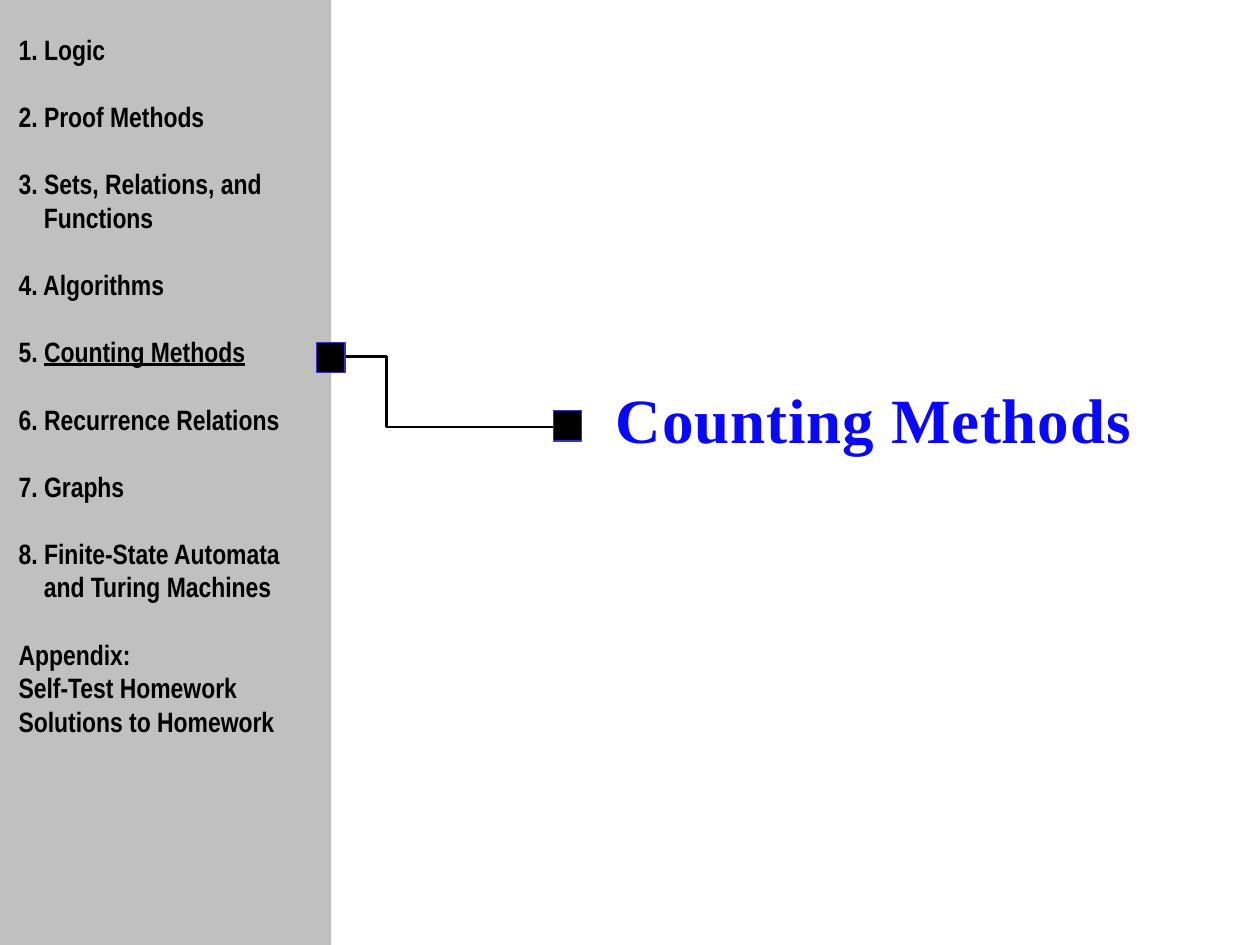
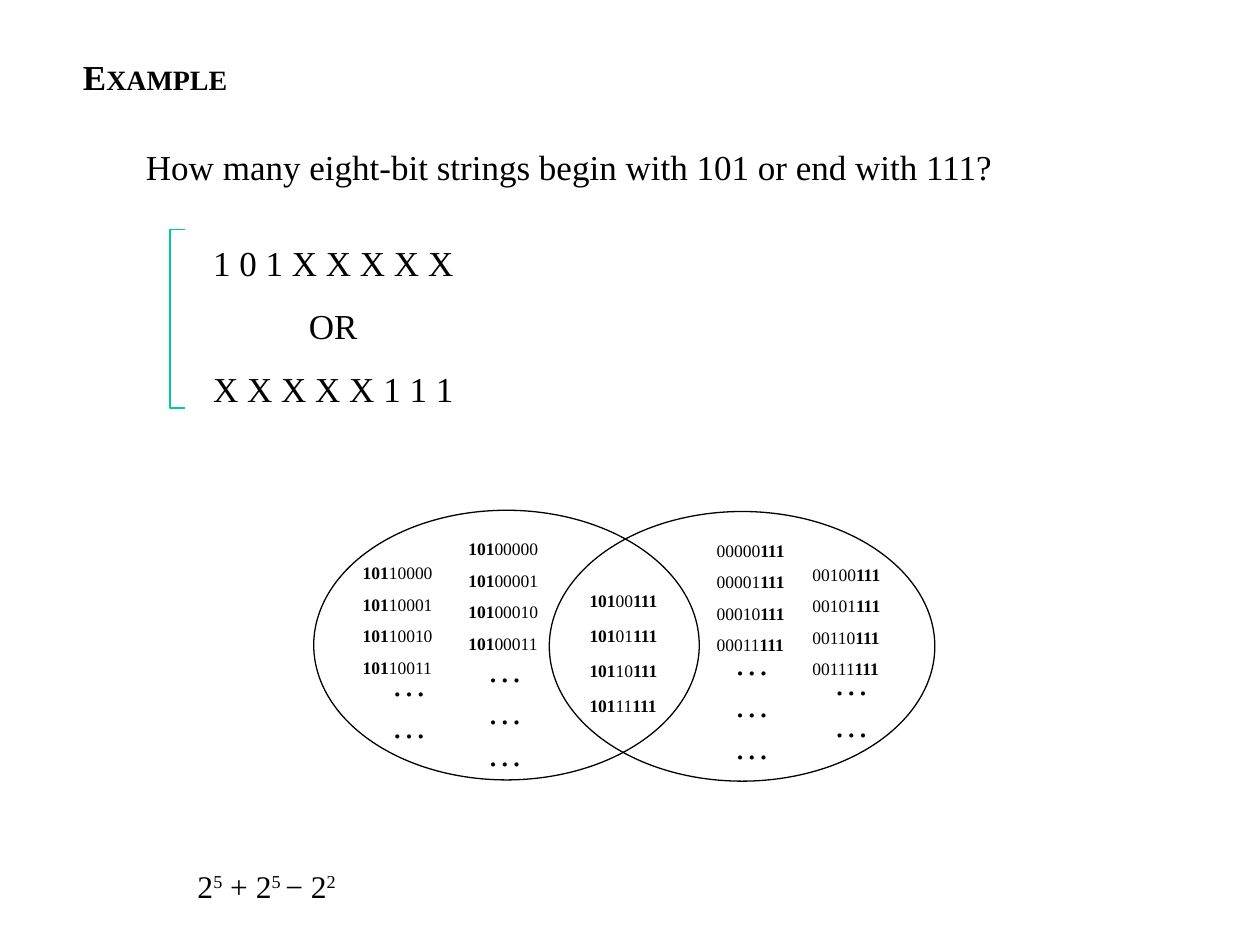
from pptx import Presentation
from pptx.dml.color import RGBColor
from pptx.enum.shapes import MSO_SHAPE
from pptx.enum.text import MSO_AUTO_SIZE, PP_ALIGN
from pptx.util import Pt

SERIF = "Times New Roman"
NARROW = "Arial Narrow"
BLACK = "000000"
BLUE = "0909F6"
MARKER_BLUE = "3333CC"
GREEN = "00CC99"
GREY = "C0C0C0"

CHAPTERS = [
    ["1. Logic"],
    ["2. Proof Methods"],
    ["3. Sets, Relations, and", "Functions"],
    ["4. Algorithms"],
    ["5. ", "Counting Methods"],
    ["6. Recurrence Relations"],
    ["7. Graphs"],
    ["8. Finite-State Automata", "and Turing Machines"],
]
CURRENT_CHAPTER = 4
APPENDIX = ["Appendix:", "Self-Test Homework", "Solutions to Homework"]


def color(hex_string):
    return RGBColor.from_string(hex_string)


def set_values(target, values):
    for name, value in values.items():
        setattr(target, name, value)


def add_text(slide, left, top, width, height, wrap=False):
    box = slide.shapes.add_textbox(Pt(left), Pt(top), Pt(width), Pt(height))
    set_values(box.text_frame, {"word_wrap": wrap, "auto_size": MSO_AUTO_SIZE.SHAPE_TO_FIT_TEXT})
    return box.text_frame


def add_paragraph(frame, runs, size, font=SERIF, fill=BLACK, indent=0, **layout):
    first = frame.paragraphs[0]
    paragraph = frame.add_paragraph() if first.runs else first
    set_values(paragraph, layout)
    if indent:
        paragraph._p.get_or_add_pPr().set("marL", str(Pt(indent)))
    for text, values in runs:
        run = paragraph.add_run()
        run.text = text
        set_values(run.font, {"name": font, "size": Pt(size), "bold": False, **values})
        run.font.color.rgb = color(fill)
    return paragraph


def style_shape(shape, fill=None, line=None, line_width=0.75):
    shape.shadow.inherit = False
    if fill:
        shape.fill.solid()
        shape.fill.fore_color.rgb = color(fill)
    else:
        shape.fill.background()
    if line:
        shape.line.color.rgb = color(line)
        shape.line.width = Pt(line_width)
    else:
        shape.line.fill.background()


def add_shape(slide, kind, left, top, width, height, **style):
    shape = slide.shapes.add_shape(kind, Pt(left), Pt(top), Pt(width), Pt(height))
    style_shape(shape, **style)
    return shape


def add_polyline(slide, points, **style):
    start, *rest = [(Pt(x), Pt(y)) for x, y in points]
    builder = slide.shapes.build_freeform(*start)
    builder.add_line_segments(rest, close=False)
    style_shape(builder.convert_to_shape(), **style)


def add_chapter_list(slide):
    frame = add_text(slide, 3.6, 15.1, 188, 434, wrap=True)
    bold = {"bold": True}
    for index, lines in enumerate(CHAPTERS):
        gap = Pt(19.2 if index else 0)
        if index == CURRENT_CHAPTER:
            number, name = lines
            runs = [(number, bold), (name, {"bold": True, "underline": True})]
            add_paragraph(frame, runs, 16, NARROW, space_before=gap)
            continue
        add_paragraph(frame, [(lines[0], bold)], 16, NARROW, space_before=gap)
        for line in lines[1:]:
            add_paragraph(frame, [(line, bold)], 16, NARROW, indent=14.4)
    for index, line in enumerate(APPENDIX):
        gap = Pt(0 if index else 19.2)
        add_paragraph(frame, [(line, bold)], 16, NARROW, space_before=gap)


def add_bit_column(slide, left, top, prefix, first, digits, suffix, spacing=1.5):
    frame = add_text(slide, left, top, 54.7, 80)
    for value in range(first, first + 4):
        parts = [(prefix, True), (f"{value:0{digits}b}", False), (suffix, True)]
        runs = [(text, {"bold": bold}) for text, bold in parts if text]
        add_paragraph(frame, runs, 10, line_spacing=spacing)


def add_ellipsis_column(slide, left, top, count):
    frame = add_text(slide, left, top, 34.6, 7.2 + 24 * count)
    for _ in range(count):
        add_paragraph(frame, [("…", {})], 20)


def add_power_sum(slide):
    frame = add_text(slide, 105.8, 491.8, 126.7, 28.8, wrap=True)
    parts = ["2", "5", " + 2", "5 ", "− 2", "2"]
    paragraph = add_paragraph(frame, [(part, {}) for part in parts], 18)
    for exponent in paragraph.runs[1::2]:
        exponent.font._element.set("baseline", "30000")


def build_chapter_slide(slide):
    title = add_text(slide, 344.9, 213.8, 312.5, 51.1)
    heading = add_paragraph(title, [("Counting Methods", {"bold": True})], 36, fill=BLUE)
    heading.runs[0].font._element.set("spc", "50")
    add_shape(slide, MSO_SHAPE.RECTANGLE, -0.7, 0, 190, 540, fill=GREY)
    path_points = [(182.9, 203.8), (221, 203.8), (221, 244.1), (316.1, 244.1)]
    add_polyline(slide, path_points, line=BLACK, line_width=1.5)
    for left, top in [(316.1, 234.7), (180.7, 195.8)]:
        add_shape(slide, MSO_SHAPE.RECTANGLE, left, top, 16.4, 17.3, fill=BLACK, line=MARKER_BLUE)
    add_chapter_list(slide)


def build_example_slide(slide):
    bold = {"bold": True}
    question = add_text(slide, 40.3, 28.1, 537.8, 85)
    add_paragraph(question, [("E", bold), ("XAMPLE", {"bold": True, "size": Pt(16)})], 20)
    text = "How many eight-bit strings begin with 101 or end with 111?"
    add_paragraph(question, [(text, {})], 20, indent=36, space_before=Pt(27.6))

    patterns = add_text(slide, 114.5, 122.4, 151.9, 115.2)
    for line in ["1 0 1 X X X X X", "OR", "X X X X X 1 1 1"]:
        add_paragraph(patterns, [(line, {})], 20, alignment=PP_ALIGN.CENTER, line_spacing=1.5)
    bracket = add_shape(slide, MSO_SHAPE.LEFT_BRACKET, 97.2, 131, 8.6, 102.2, line=GREEN)
    bracket.adjustments[0] = 0
    add_power_sum(slide)

    for left, top in [(179.3, 291.6), (313.9, 292.3)]:
        add_shape(slide, MSO_SHAPE.OVAL, left, top, 220.3, 154.1, line=BLACK)
    add_bit_column(slide, 329.8, 325.4, "101", 0, 2, "111", Pt(20))
    add_bit_column(slide, 200.2, 311.8, "101", 16, 5, "")
    add_bit_column(slide, 260.6, 298.1, "101", 0, 5, "")
    add_bit_column(slide, 402.5, 298.8, "", 0, 5, "111")
    add_bit_column(slide, 457.2, 312.5, "", 4, 5, "111")
    for left, top, count in [(271.4, 366.5, 3), (216.7, 374.4, 2),
                             (412.6, 362.2, 3), (469.4, 373.7, 2)]:
        add_ellipsis_column(slide, left, top, count)


def main():
    presentation = Presentation()
    set_values(presentation, {"slide_width": Pt(720), "slide_height": Pt(540)})
    blank = presentation.slide_layouts[6]
    for build in [build_chapter_slide, build_example_slide]:
        build(presentation.slides.add_slide(blank))
    presentation.save("out.pptx")


if __name__ == "__main__":
    main()
